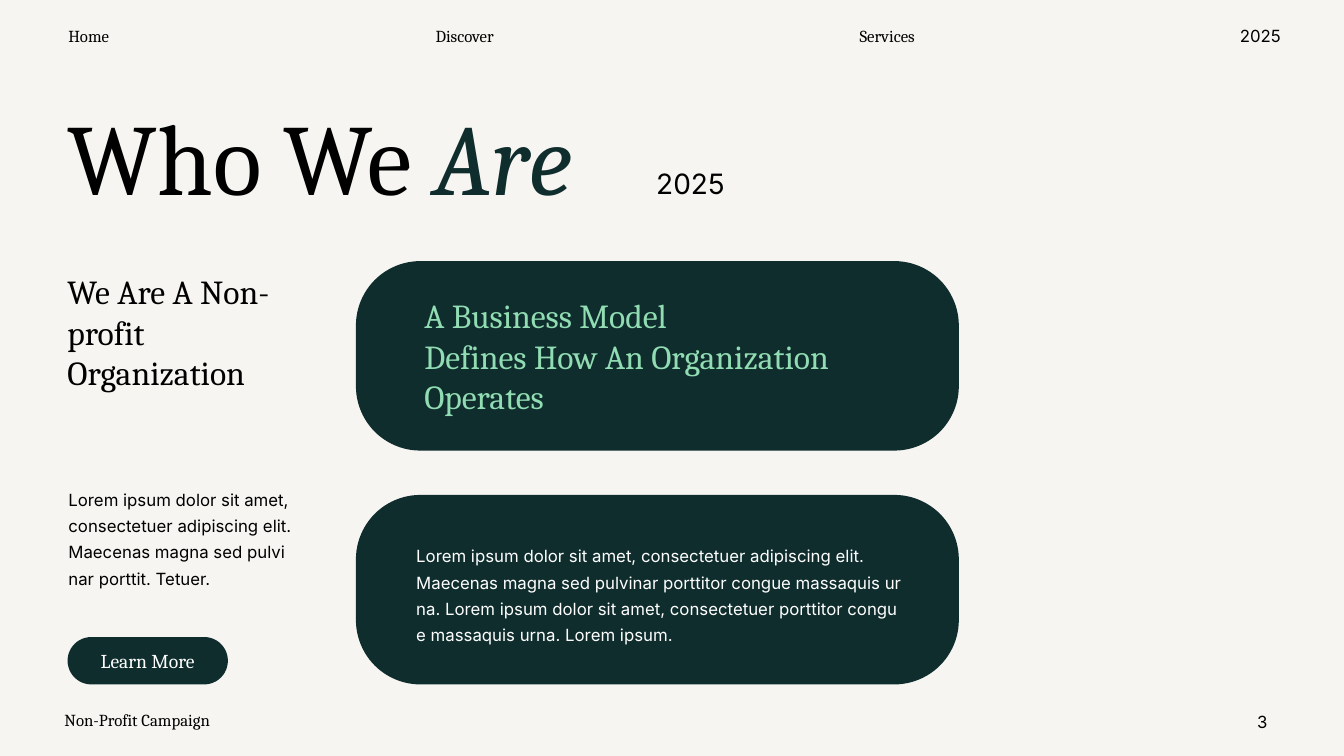
from pptx import Presentation
from pptx.dml.color import RGBColor
from pptx.enum.shapes import MSO_SHAPE as Shape
from pptx.enum.text import MSO_ANCHOR as Anchor, MSO_AUTO_SIZE as AutoSize, PP_ALIGN as Align
from pptx.util import Inches, Pt

CREAM, PINE, MINT, BLACK, WHITE = "F6F5F1", "0F2D2D", "91DCB3", "000000", "FFFFFF"
SERIF, SANS = "Cambria", "Inter"


def paint(colour_holder, colour):
    """Apply a hex colour to a solid fill or a font."""
    if hasattr(colour_holder, "solid"):
        colour_holder.solid()
        colour_holder.fore_color.rgb = RGBColor.from_string(colour)
    else:
        colour_holder.color.rgb = RGBColor.from_string(colour)


def style(target, values):
    """Set each attribute of the target from a dict."""
    for name, value in values.items():
        setattr(target, name, value)


def place(box, at):
    """Move and size a shape from left, top, width and height in inches."""
    style(box, dict(zip(("left", "top", "width", "height"), map(Inches, at))))


def write(frame, paragraphs, size, face=SERIF, colour=BLACK, align=Align.LEFT,
          spacing=1.0, wrap=True, anchor=Anchor.TOP):
    """Fill a text frame with paragraphs, each a list of (text, font values, colour) runs."""
    style(frame, {"word_wrap": wrap, "auto_size": AutoSize.NONE, "vertical_anchor": anchor})
    for index, runs in enumerate(paragraphs):
        paragraph = frame.add_paragraph() if index else frame.paragraphs[0]
        style(paragraph, {"alignment": align, "line_spacing": spacing})
        for words, extra, own_colour in [(runs, {}, colour)] if isinstance(runs, str) else runs:
            run = paragraph.add_run()
            run.text = words
            style(run.font, {"name": face, "size": Pt(size), **extra})
            paint(run.font, own_colour)


def add_text(slide, at, paragraphs, size, **options):
    """Add a text box."""
    box = slide.shapes.add_textbox(*map(Inches, at))
    write(box.text_frame, paragraphs, size, **options)


def add_panel(slide, at, rounding):
    """Add a dark rounded panel."""
    panel = slide.shapes.add_shape(Shape.ROUNDED_RECTANGLE, *map(Inches, at))
    panel.adjustments[0] = rounding
    panel.shadow.inherit = False
    paint(panel.fill, PINE)
    panel.line.fill.background()
    return panel


def add_title(slide):
    """Format the title placeholder."""
    title = slide.shapes.title
    place(title, (0.57, 1.12, 5.98, 1.07))
    heading = [("Who We ", {}, BLACK), ("Are", {"italic": True}, PINE)]
    write(title.text_frame, [heading], 72, spacing=0.8)


def add_navigation(slide):
    """Add the top menu and the footer."""
    menu = [("Home", 0.54, 0.68, SERIF), ("Discover", 4.16, 0.9, SERIF),
            ("Services", 8.37, 0.86, SERIF), ("2025", 12.19, 0.62, SANS)]
    for label, left, width, face in menu:
        add_text(slide, (left, 0.21, width, 0.3), [label], 12,
                 face=face, align=Align.CENTER, wrap=False)
    add_text(slide, (0.54, 6.99, 2.89, 0.3), ["Non-Profit Campaign"], 12)
    add_text(slide, (11.99, 7.01, 0.68, 0.3), ["3"], 12, face=SANS, align=Align.RIGHT)


def main():
    """Build the slide and save it."""
    deck = Presentation()
    style(deck, {"slide_width": Inches(13.33), "slide_height": Inches(7.5)})
    slide = deck.slides.add_slide(deck.slide_layouts[5])
    paint(slide.background.fill, CREAM)

    add_navigation(slide)
    add_title(slide)
    add_text(slide, (6.41, 1.6, 0.98, 0.44), ["2025"], 20, face=SANS)

    add_text(slide, (0.57, 2.64, 2.24, 1.31), ["We Are A Non-profit Organization"], 24)
    add_text(slide, (0.58, 4.75, 2.49, 1.13), [
        "Lorem ipsum dolor sit amet,",
        "consectetuer adipiscing elit. Maecenas magna sed pulvi",
        "nar porttit. Tetuer.",
    ], 12, face=SANS, spacing=1.3)
    button = add_panel(slide, (0.67, 6.32, 1.59, 0.47), 0.5)
    write(button.text_frame, ["Learn More"], 14, colour=WHITE,
          align=Align.CENTER, anchor=Anchor.MIDDLE)

    for top in (2.59, 4.91):
        add_panel(slide, (3.53, top, 5.98, 1.88), 0.34)
    add_text(slide, (4.11, 2.88, 4.87, 1.31), [
        "A Business Model",
        "Defines How An Organization Operates",
    ], 24, colour=MINT)
    add_text(slide, (4.03, 5.31, 5.14, 1.13), [
        "Lorem ipsum dolor sit amet, consectetuer adipiscing elit. "
        "Maecenas magna sed pulvinar porttitor congue massaquis ur",
        "na. Lorem ipsum dolor sit amet, consectetuer porttitor congu",
        "e massaquis urna. Lorem ipsum.",
    ], 12, face=SANS, colour=WHITE, spacing=1.3)

    deck.save("out.pptx")


if __name__ == "__main__":
    main()
